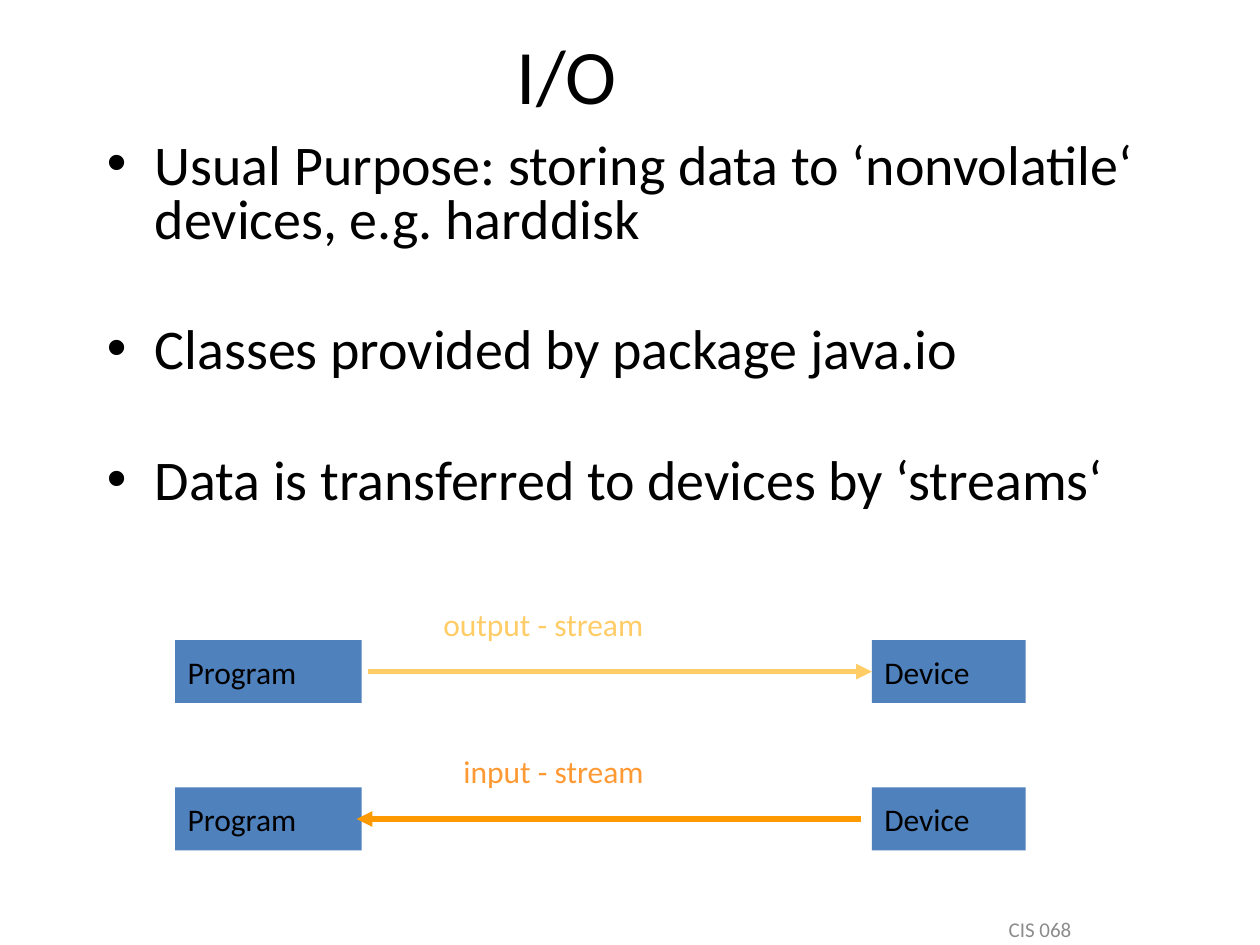
from pptx import Presentation
from pptx.dml.color import RGBColor
from pptx.enum.shapes import MSO_CONNECTOR, MSO_SHAPE
from pptx.enum.text import MSO_ANCHOR, PP_ALIGN
from pptx.oxml.ns import qn
from pptx.util import Inches, Pt
from lxml import etree

RECT, STRAIGHT = MSO_SHAPE.RECTANGLE, MSO_CONNECTOR.STRAIGHT
TOP, MIDDLE = MSO_ANCHOR.TOP, MSO_ANCHOR.MIDDLE
LEFT, CENTER = PP_ALIGN.LEFT, PP_ALIGN.CENTER
FONT = "Calibri"
COLORS = {"text": "000000", "footer": "8C8C8C", "box": "4F81BD",
          "output": "FFCC66", "input": "FF9900", "input_label": "FF9933"}

TITLE = "I/O"
FOOTER = "CIS 068"
BULLETS = ["Usual Purpose: storing data to \u2018nonvolatile\u2018 devices, e.g. harddisk",
           "Classes provided by package java.io",
           "Data is transferred to devices by \u2018streams\u2018"]
BOXES = [("Program", 1.39, 1.48), ("Device", 6.92, 1.22)]  # name, left, width
STREAMS = [  # label, label left, label width, label colour, arrow from, to, colour
    ("output - stream", 3.42, 2.44, "output", 2.92, 6.92, "output"),
    ("input - stream", 3.58, 2.24, "input_label", 6.83, 2.83, "input")]
FIRST_ROW, ROW_STEP, BOX_H, LABEL_RISE = 5.08, 1.17, 0.5, 0.33


def rgb(name):
    """Look up a palette colour."""
    return RGBColor.from_string(COLORS[name])


def write(sp, lines, size=18, color="text", align=LEFT, anchor=MIDDLE,
          wrap=True, bullet=False):
    """Fill a shape with one formatted paragraph per line."""
    tf = sp.text_frame
    tf.word_wrap, tf.vertical_anchor = wrap, anchor
    for i, line in enumerate(lines):
        p = tf.paragraphs[0] if i == 0 else tf.add_paragraph()
        p.alignment = align
        r = p.add_run()
        r.text = line
        r.font.name, r.font.size = FONT, Pt(size)
        r.font.color.rgb = rgb(color)
        if bullet:
            add_bullet(p)


def add_bullet(p):
    """Give a paragraph a hanging bullet and wide spacing."""
    p.line_spacing, p.space_after = 0.8, Pt(44)
    pPr = p._p.get_or_add_pPr()
    pPr.set("marL", str(Inches(0.38)))
    pPr.set("indent", str(-Inches(0.38)))
    etree.SubElement(pPr, qn("a:buFont")).set("typeface", "Arial")
    etree.SubElement(pPr, qn("a:buChar")).set("char", "\u2022")


def text_box(s, at, lines, **fmt):
    """Add a text box at (left, top, width, height)."""
    sp = s.shapes.add_textbox(*map(Inches, at))
    write(sp, lines, **fmt)


def box(s, at, name):
    """Add a filled, labelled rectangle."""
    sp = s.shapes.add_shape(RECT, *map(Inches, at))
    sp.shadow.inherit = False
    sp.fill.solid()
    sp.fill.fore_color.rgb = rgb("box")
    sp.line.fill.background()
    write(sp, [name], wrap=False)


def arrow(s, x1, x2, y, color):
    """Add a horizontal arrow pointing at x2."""
    line = s.shapes.add_connector(STRAIGHT, *map(Inches, (x1, y, x2, y)))
    line.line.color.rgb, line.line.width = rgb(color), Pt(3)
    etree.SubElement(line.line._get_or_add_ln(), qn("a:tailEnd")).set("type", "triangle")
    etree.SubElement(line._element.spPr, qn("a:effectLst"))


prs = Presentation()
prs.slide_width, prs.slide_height = Inches(10), Inches(7.5)
s = prs.slides.add_slide(prs.slide_layouts[5])

title = s.shapes.title
title.left, title.top, title.width, title.height = map(Inches, (0.5, 0.17, 8, 0.83))
write(title, [TITLE], size=44, align=CENTER)
text_box(s, (6.67, 7.25, 3.17, 0.25), [FOOTER], size=12, color="footer", align=CENTER)
text_box(s, (0.75, 1.08, 9.08, 3.33), BULLETS, size=32, anchor=TOP, bullet=True)

for row, (label, left, width, label_color, x1, x2, color) in enumerate(STREAMS):
    top = FIRST_ROW + row * ROW_STEP
    for name, box_left, box_width in BOXES:
        box(s, (box_left, top, box_width, BOX_H), name)
    arrow(s, x1, x2, top + BOX_H / 2, color)
    text_box(s, (left, top - LABEL_RISE, width, BOX_H), [label],
             color=label_color, anchor=TOP)

prs.save("out.pptx")
